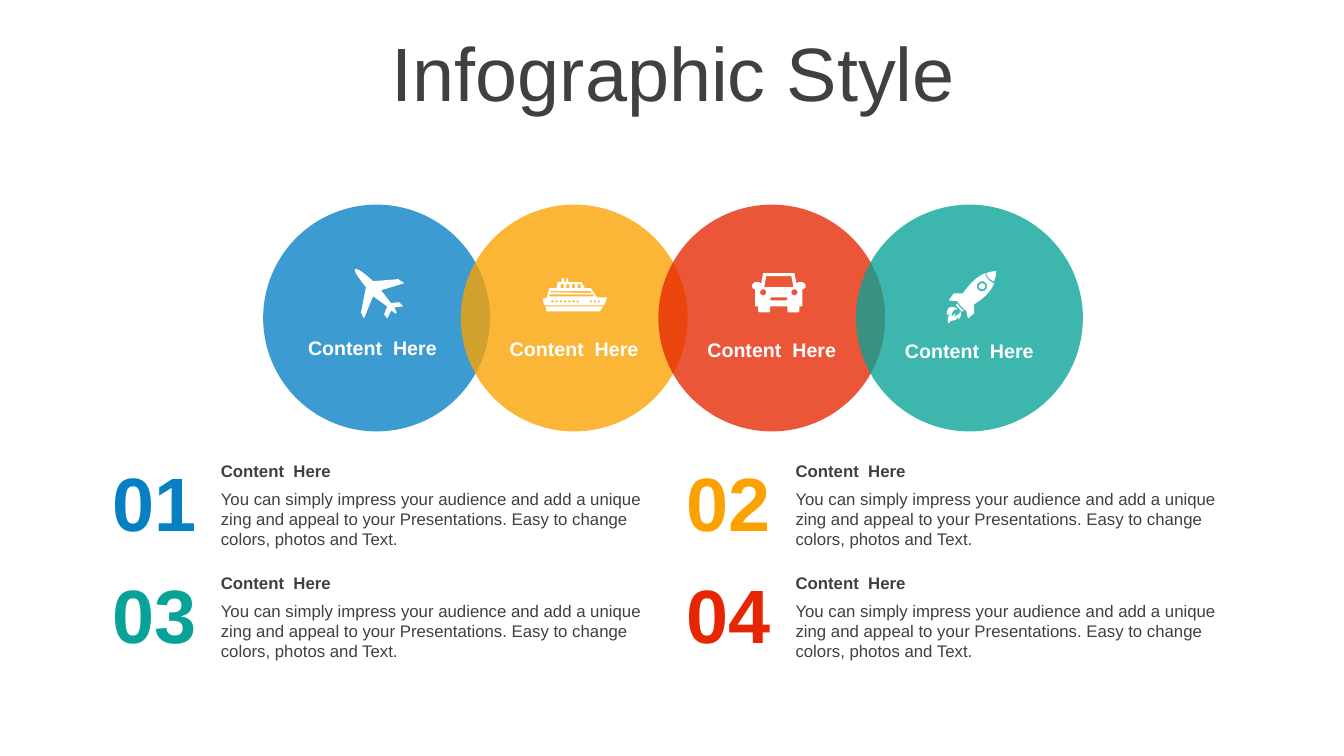
from dataclasses import dataclass
from math import cos, pi, sin

from lxml import etree
from pptx import Presentation
from pptx.dml.color import RGBColor
from pptx.enum.shapes import MSO_SHAPE
from pptx.enum.text import MSO_ANCHOR, MSO_AUTO_SIZE, PP_ALIGN
from pptx.oxml.ns import qn
from pptx.util import Inches, Pt

ELLIPSE = MSO_SHAPE.OVAL
TOP, MIDDLE = MSO_ANCHOR.TOP, MSO_ANCHOR.MIDDLE
LEFT, CENTER = PP_ALIGN.LEFT, PP_ALIGN.CENTER
NO_FIT, GROW = MSO_AUTO_SIZE.NONE, MSO_AUTO_SIZE.SHAPE_TO_FIT_TEXT
TITLE_ONLY = 5


@dataclass(frozen=True)
class Theme:
    font: str = "Arial"
    ink: str = "404040"
    white: str = "FFFFFF"
    blue: str = "0680C3"
    amber: str = "FBA200"
    red: str = "E62601"
    teal: str = "07A398"
    display: int = 54
    label: int = 14
    body: int = 12
    circle_alpha: int = 78


# Outline helpers: a contour lists (x, y) points and six-number cubic curves
def box(left, top, width, height):
    right, bottom = left + width, top + height
    return [(left, top), (right, top), (right, bottom), (left, bottom)]


def ring(center_x, center_y, radius, steps=24):
    angles = [2 * pi * step / steps for step in range(steps)]
    return [(center_x + radius * cos(a), center_y + radius * sin(a)) for a in angles]


def flatten(contour, steps=6):
    points = []
    for item in contour:
        if len(item) == 2:
            points.append(item)
            continue
        corners = [points[-1], item[:2], item[2:4], item[4:]]
        for step in range(1, steps + 1):
            t = step / steps
            weights = ((1 - t) ** 3, 3 * t * (1 - t) ** 2, 3 * t * t * (1 - t), t ** 3)
            points.append(tuple(sum(w * c[axis] for w, c in zip(weights, corners))
                                for axis in (0, 1)))
    return [(Inches(x), Inches(y)) for x, y in points]


class SlideBuilder:
    def __init__(self, slide, theme):
        self.slide = slide
        self.theme = theme

    def set_text(self, shape, text, size, color, bold=False, align=LEFT, anchor=MIDDLE, fit=GROW):
        frame = shape.text_frame
        frame.word_wrap = True
        frame.auto_size = fit
        frame.vertical_anchor = anchor
        frame.text = text
        paragraph = frame.paragraphs[0]
        paragraph.alignment = align
        font = paragraph.font
        font.name, font.size, font.bold = self.theme.font, Pt(size), bold
        font.color.rgb = RGBColor.from_string(color)
        return paragraph

    def title(self, text, left, top, width, height):
        title = self.slide.shapes.title
        title.left, title.top = Inches(left), Inches(top)
        title.width, title.height = Inches(width), Inches(height)
        paragraph = self.set_text(title, text, self.theme.display, self.theme.ink,
                                  align=CENTER, fit=NO_FIT)
        paragraph.line_spacing = 0.9

    def text(self, text, left, top, width, height, size, color, insets=None, **style):
        holder = self.slide.shapes.add_textbox(
            Inches(left), Inches(top), Inches(width), Inches(height))
        if insets:
            frame = holder.text_frame
            (frame.margin_left, frame.margin_top,
             frame.margin_right, frame.margin_bottom) = map(Inches, insets)
        self.set_text(holder, text, size, color, **style)

    def paint(self, shape, color):
        shape.shadow.inherit = False
        shape.fill.solid()
        shape.fill.fore_color.rgb = RGBColor.from_string(color)
        shape.line.fill.background()

    def circle(self, left, top, size, color):
        circle = self.slide.shapes.add_shape(
            ELLIPSE, Inches(left), Inches(top), Inches(size), Inches(size))
        self.paint(circle, color)
        tint = circle.element.spPr.find(qn("a:solidFill"))[0]
        etree.SubElement(tint, qn("a:alpha"), val=str(self.theme.circle_alpha * 1000))

    def icon(self, contours):
        outlines = [flatten(contour) for contour in contours]
        builder = self.slide.shapes.build_freeform(*outlines[0][0])
        for index, outline in enumerate(outlines):
            if index:
                builder.move_to(*outline[0])
            builder.add_line_segments(outline[1:], close=True)
        self.paint(builder.convert_to_shape(), self.theme.white)


# Icon outlines, in slide inches
PLANE = [[
    (4, 3.04), (3.91, 3.05), (3.92, 3.07, 3.94, 3.1, 3.93, 3.11),
    (3.92, 3.12, 3.9, 3.09, 3.88, 3.08), (3.84, 3.16), (3.81, 3.12), (3.84, 3.04),
    (3.7, 2.94), (3.61, 3.16), (3.58, 3.1), (3.6, 3.01, 3.61, 2.94, 3.63, 2.85),
    (3.59, 2.8, 3.5, 2.69, 3.52, 2.67), (3.54, 2.65, 3.65, 2.74, 3.7, 2.79),
    (3.95, 2.77), (4.01, 2.81), (3.78, 2.88), (3.88, 3.01), (3.9, 3, 3.96, 3, 3.96, 3)]]

SHIP = [
    [(5.62, 2.76), (5.63, 2.76), (5.64, 2.8), (5.77, 2.8), (5.8, 2.86), (5.86, 2.86),
     (5.92, 2.95), (6.02, 2.95), (6.02, 2.98, 6, 3, 5.99, 3.03), (5.4, 3.03),
     (5.39, 3.01, 5.38, 2.98, 5.39, 2.96), (5.42, 2.96), (5.45, 2.86), (5.52, 2.86),
     (5.53, 2.8), (5.57, 2.8), (5.57, 2.76), (5.59, 2.76), (5.6, 2.8), (5.61, 2.8)],
    [(5.41, 3.04), (5.98, 3.04), (5.97, 3.06, 5.96, 3.07, 5.95, 3.09), (5.42, 3.09),
     (5.42, 3.07, 5.42, 3.06, 5.41, 3.04)],
    [(5.45, 2.92), (5.45, 2.94), (5.9, 2.94), (5.88, 2.92)],
    [(5.46, 2.89), (5.46, 2.9), (5.87, 2.91), (5.86, 2.89)],
    *[box(5.47 + 0.25 * i / 6, 2.98, 0.02, 0.02) for i in range(7)],
    *[box(5.85 + 0.04 * i, 2.98, 0.02, 0.02) for i in range(3)],
    *[box(5.56 + 0.17 * i / 3, 2.82, 0.03, 0.04) for i in range(4)]]

CAR = [
    [(7.57, 2.71), (7.88, 2.71), (7.9, 2.81), (7.92, 2.8), (7.96, 2.8),
     (7.97, 2.8, 7.99, 2.82, 7.99, 2.83), (7.99, 2.84),
     (7.99, 2.86, 7.97, 2.87, 7.96, 2.87), (7.96, 3.04), (7.93, 3.04), (7.93, 3.08),
     (7.93, 3.09, 7.92, 3.1, 7.91, 3.1), (7.83, 3.1),
     (7.82, 3.1, 7.81, 3.09, 7.81, 3.08), (7.81, 3.04), (7.64, 3.04), (7.64, 3.08),
     (7.64, 3.09, 7.63, 3.1, 7.62, 3.1), (7.54, 3.1),
     (7.53, 3.1, 7.52, 3.09, 7.52, 3.08), (7.52, 3.04), (7.49, 3.04), (7.49, 2.87),
     (7.48, 2.87, 7.46, 2.86, 7.46, 2.84), (7.46, 2.83),
     (7.46, 2.82, 7.48, 2.8, 7.49, 2.8), (7.53, 2.8), (7.55, 2.81)],
    [(7.6, 2.74), (7.58, 2.85), (7.87, 2.85), (7.85, 2.74)],
    [(7.65, 2.95), (7.64, 2.96), (7.64, 2.97), (7.65, 2.98),
     (7.8, 2.98), (7.81, 2.97), (7.81, 2.96), (7.8, 2.95)],
    ring(7.57, 2.9, 0.03), ring(7.88, 2.9, 0.03)]

ROCKET = [
    [(9.77, 2.71), (9.78, 2.76, 9.81, 2.79, 9.86, 2.81),
     (9.82, 2.91, 9.74, 2.97, 9.66, 3.02), (9.66, 3.11), (9.6, 3.16), (9.58, 3.07),
     (9.57, 3.08), (9.5, 3), (9.5, 2.99), (9.41, 2.98), (9.46, 2.91), (9.55, 2.91),
     (9.6, 2.84, 9.67, 2.75, 9.77, 2.71)],
    [(9.88, 2.69), (9.88, 2.73, 9.87, 2.76, 9.86, 2.79),
     (9.82, 2.78, 9.79, 2.75, 9.78, 2.71), (9.81, 2.7, 9.84, 2.69, 9.88, 2.69)],
    ring(9.74, 2.84, 0.05), ring(9.74, 2.84, 0.03),
    [(9.49, 3.01), (9.56, 3.09), (9.54, 3.09), (9.48, 3.03)],
    [(9.5, 3.07), (9.47, 3.06, 9.43, 3.09, 9.44, 3.15),
     (9.45, 3.12, 9.47, 3.11, 9.49, 3.11), (9.48, 3.11, 9.46, 3.12, 9.47, 3.14),
     (9.49, 3.11, 9.52, 3.14, 9.52, 3.08), (9.55, 3.13, 9.52, 3.14, 9.51, 3.17),
     (9.5, 3.17, 9.51, 3.14, 9.5, 3.15), (9.47, 3.2, 9.43, 3.16, 9.41, 3.21),
     (9.38, 3.17, 9.42, 3.14, 9.41, 3.11), (9.41, 3.11, 9.4, 3.11, 9.39, 3.14),
     (9.38, 3.02, 9.46, 3.03, 9.5, 3.07)]]

HEADING = "Content  Here"
DESCRIPTION = ("You can simply impress your audience and add a unique zing and appeal to "
               "your Presentations. Easy to change colors, photos and Text.")


def main():
    theme = Theme()
    deck = Presentation()
    deck.slide_width, deck.slide_height = Inches(13.33), Inches(7.5)
    page = SlideBuilder(deck.slides.add_slide(deck.slide_layouts[TITLE_ONLY]), theme)
    page.title("Infographic Style", 0.35, 0.37, 12.66, 0.79)

    # Chain of overlapping circles
    for index, color in enumerate((theme.blue, theme.amber, theme.red, theme.teal)):
        page.circle(2.61 + 1.96 * index, 2.03, 2.25, color)

    # Icons and labels inside the circles
    stops = ((2.83, PLANE), (4.83, SHIP), (6.79, CAR), (8.75, ROCKET))
    for index, (label_left, icon) in enumerate(stops):
        page.text(HEADING, label_left, 3.28 + 0.01 * index, 1.73, 0.34,
                  theme.label, theme.white, bold=True, align=CENTER)
        page.icon(icon)

    # Numbered descriptions, two by two
    text_insets = (0, 0.05, 0.1, 0.05)
    for index, color in enumerate((theme.blue, theme.amber, theme.teal, theme.red)):
        row, column = divmod(index, 2)
        left, top = 1.06 + 5.7 * column, 4.52 + 1.11 * row
        text_left = left + 1.13
        page.text(f"{index + 1:02}", left, top, 0.94, 0.91, theme.display, color,
                  insets=(0, 0, 0, 0), bold=True, align=CENTER)
        page.text(HEADING, text_left, top, 4.45, 0.3, theme.body, theme.ink,
                  insets=text_insets, bold=True)
        page.text(DESCRIPTION, text_left, top + 0.28, 4.45, 0.71, theme.body, theme.ink,
                  insets=text_insets, anchor=TOP)

    deck.save("out.pptx")


if __name__ == "__main__":
    main()
